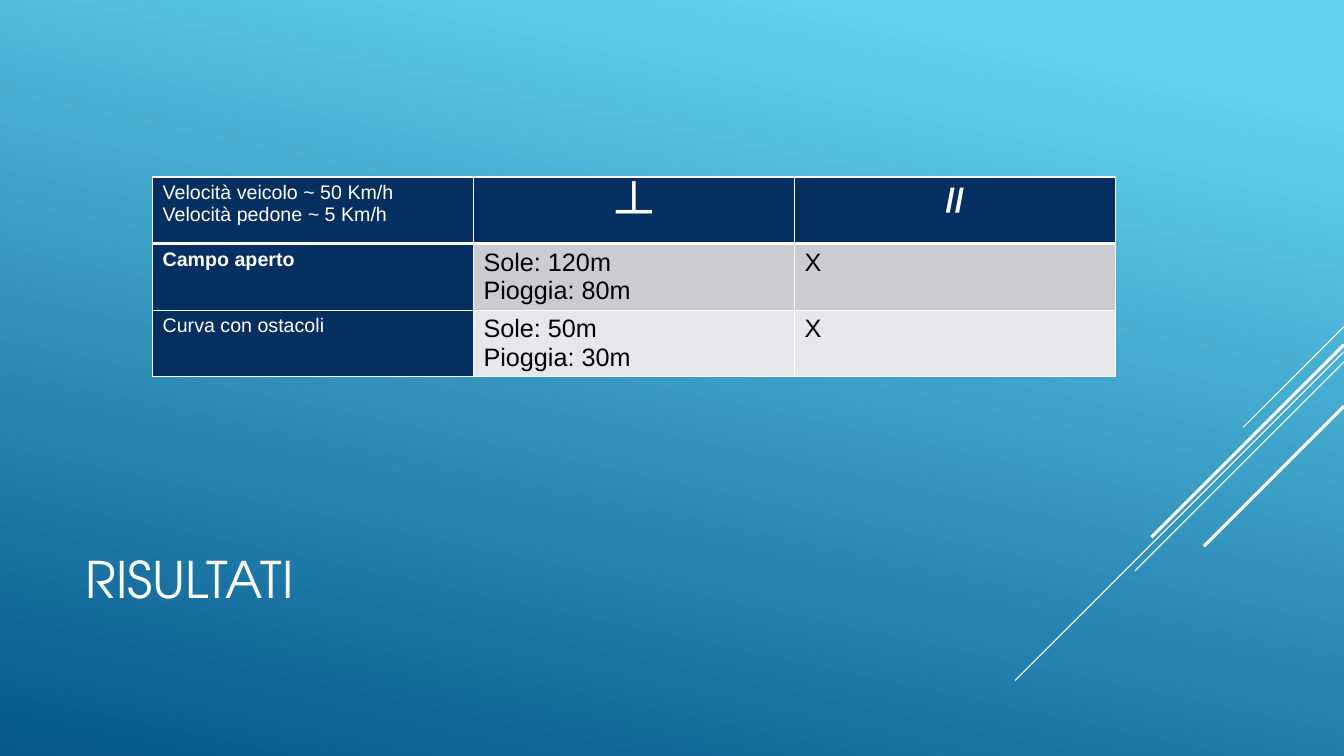
from pptx import Presentation
from pptx.dml.color import RGBColor as Color
from pptx.enum.shapes import MSO_CONNECTOR as Connector
from pptx.enum.text import MSO_ANCHOR as Anchor, MSO_AUTO_SIZE as AutoSize, PP_ALIGN as Align
from pptx.oxml.ns import qn
from pptx.util import Inches, Pt
from lxml.etree import SubElement

THEME = {
    "white": "FFFFFF", "black": "000000", "navy": "052F61",
    "sky": "62D2EF", "deep": "05578D", "bands": ["CACCD1", "E6E7EA"],
    "title_font": "TeX Gyre Adventor", "body_font": "Arial",
    "title": 36, "label": 14, "value": 18, "parallel": 24, "perpendicular": 36,
    "thin": 0.75, "thick": 2.25, "border": 1, "header_border": 3,
}

deck = Presentation()
deck.slide_width, deck.slide_height = Inches(13.33), Inches(7.5)
WIDE, HIGH = deck.slide_width / 100, deck.slide_height / 100
page = deck.slides.add_slide(deck.slide_layouts[5])


def write(frame, text, align, font_format):
    frame.text = text
    for para in frame.paragraphs:
        para.alignment = align
        for span in para.runs:
            span.font.color.rgb = Color.from_string(font_format["color"])
            for name in ("name", "size", "bold"):
                setattr(span.font, name, font_format[name])


def draw_border(cell, side, weight):
    border = SubElement(cell._tc.get_or_add_tcPr(), qn(f"a:{side}"), w=str(Pt(weight)))
    paint = SubElement(border, qn("a:solidFill"))
    SubElement(paint, qn("a:srgbClr"), val=THEME["white"])


backdrop = page.background.fill
backdrop.gradient()
backdrop.gradient_angle = 258
for stop, position, color in zip(backdrop.gradient_stops, (0.1, 1), ("sky", "deep")):
    stop.position = position
    stop.color.rgb = Color.from_string(THEME[color])

for start, drop, weight in [
    (43.2, 13.33, "thin"),
    (46.53, 43.47, "thin"),
    (47.87, 27.67, "thin"),
    (45.6, 25.47, "thick"),
    (53.73, 18.53, "thick"),
]:
    streak = page.shapes.add_connector(
        Connector.STRAIGHT,
        deck.slide_width, int(start * HIGH),
        int(deck.slide_width - drop * HIGH), int((start + drop) * HIGH),
    )
    streak.line.color.rgb = Color.from_string(THEME["white"])
    streak.line.width = Pt(THEME[weight])
    SubElement(streak._element.spPr, qn("a:effectLst"))

title = page.shapes.title
for name, value in {
    "left": 5.63 * WIDE, "top": 65.47 * HIGH, "width": 70 * WIDE, "height": 22 * HIGH,
}.items():
    setattr(title, name, int(value))
for name, value in {
    "vertical_anchor": Anchor.MIDDLE, "word_wrap": True, "auto_size": AutoSize.NONE,
}.items():
    setattr(title.text_frame, name, value)
write(title.text_frame, "RISULTATI", Align.LEFT, {
    "name": THEME["title_font"], "size": Pt(THEME["title"]),
    "bold": False, "color": THEME["white"],
})

results = [
    ["Velocità veicolo ~ 50 Km/h\nVelocità pedone ~ 5 Km/h", "┴", "//"],
    ["Campo aperto", "Sole: 120m\nPioggia: 80m", "X"],
    ["Curva con ostacoli", "Sole: 50m\nPioggia: 30m", "X"],
]
header_sizes = ["label", "perpendicular", "parallel"]
bold_texts = {"┴", "//", "Campo aperto"}
column_width, row_height = int(23.88 * WIDE), int(8.77 * HIGH)

table = page.shapes.add_table(
    len(results), len(results[0]), int(11.35 * WIDE), int(23.41 * HIGH),
    column_width * len(results[0]), row_height * len(results),
).table
for column in table.columns:
    column.width = column_width
for row in table.rows:
    row.height = row_height

for row, texts in enumerate(results):
    for column, text in enumerate(texts):
        cell = table.cell(row, column)
        is_label = row == 0 or column == 0
        size = header_sizes[column] if row == 0 else "label" if is_label else "value"
        write(cell.text_frame, text, Align.CENTER if row == 0 and column else Align.LEFT, {
            "name": THEME["body_font"], "size": Pt(THEME[size]),
            "bold": text in bold_texts,
            "color": THEME["white" if is_label else "black"],
        })
        for side in ("lnL", "lnR", "lnT", "lnB"):
            meets_header = (row, side) in {(0, "lnB"), (1, "lnT")}
            draw_border(cell, side, THEME["header_border" if meets_header else "border"])
        cell.fill.solid()
        cell.fill.fore_color.rgb = Color.from_string(
            THEME["navy"] if is_label else THEME["bands"][row - 1]
        )

deck.save("out.pptx")
